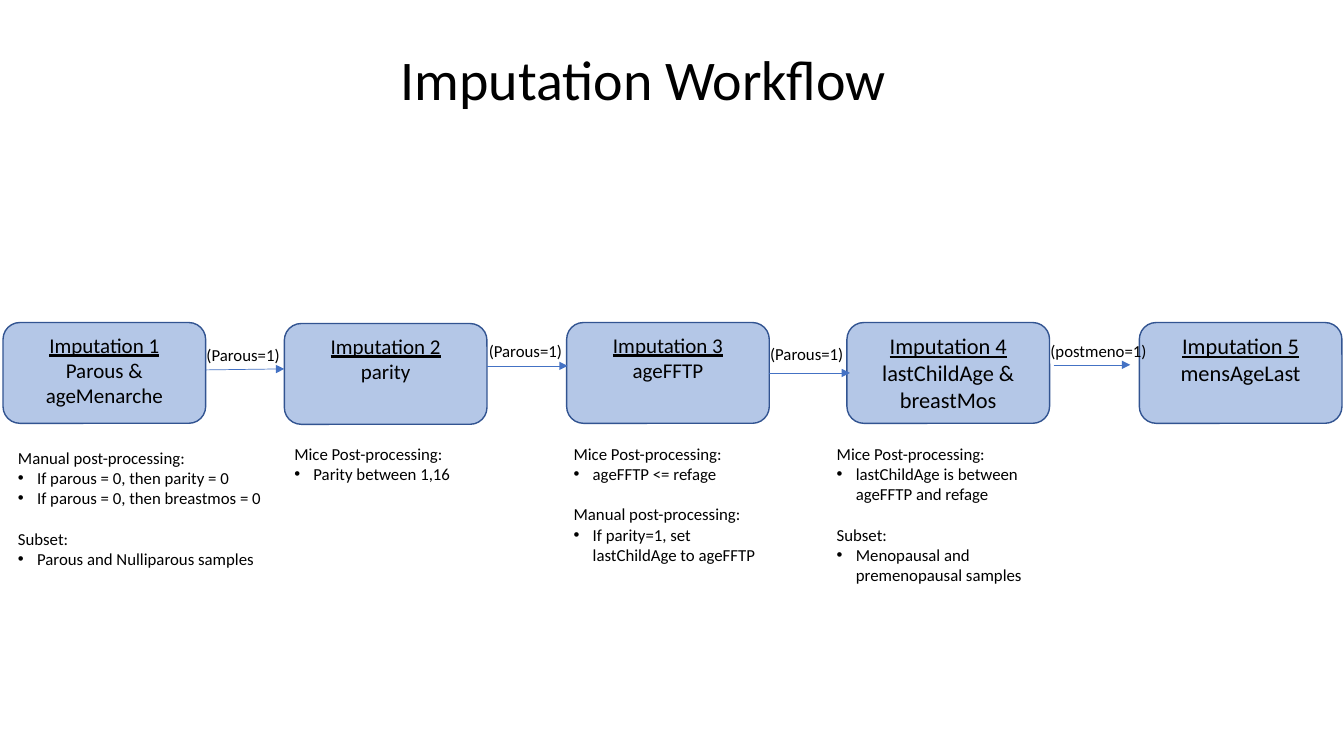
from dataclasses import dataclass

from lxml.etree import SubElement
from pptx import Presentation
from pptx.dml.color import RGBColor
from pptx.enum.shapes import MSO_CONNECTOR, MSO_SHAPE
from pptx.enum.text import MSO_ANCHOR, MSO_AUTO_SIZE, PP_ALIGN
from pptx.oxml.ns import qn
from pptx.util import Inches, Pt

FONT = "Calibri"
BLACK, FILL, EDGE, ARROW = "000000", "B4C7E7", "325491", "4472C4"
BOX_W, BOX_H = 2.01, 1


@dataclass
class Step:
    """One numbered imputation box and the variables it fills."""
    left: float
    top: float
    size: int
    text: str


@dataclass
class Link:
    """An arrow between two steps with its condition."""
    start: tuple[float, float]
    end: tuple[float, float]
    text: str
    left: float
    top: float
    width: float


@dataclass
class Note:
    """Text under a step: headings, each with its bullets."""
    left: float
    top: float
    width: float
    height: float
    groups: dict[str, list[str]]


STEPS = [
    Step(0.03, 3.2, 15, "Parous & ageMenarche"),
    Step(2.82, 3.21, 15, "parity"),
    Step(5.62, 3.2, 15, "ageFFTP"),
    Step(8.4, 3.2, 16, "lastChildAge & breastMos"),
    Step(11.3, 3.2, 16, "mensAgeLast"),
]
LINKS = [
    Link((2.04, 3.67), (2.82, 3.66), "(Parous=1)", 1.95, 3.37, 0.94),
    Link((4.83, 3.63), (5.63, 3.63), "(Parous=1)", 4.75, 3.33, 0.94),
    Link((7.63, 3.7), (8.43, 3.7), "(Parous=1)", 7.54, 3.36, 0.94),
    Link((10.45, 3.62), (11.21, 3.62), "(postmeno=1)", 10.32, 3.33, 1.17),
]
MICE, MANUAL, SUBSET = "Mice Post-processing:", "Manual post-processing:", "Subset:"
NOTES = [
    Note(0.08, 4.39, 2.77, 1.31, {
        MANUAL: ["If parous = 0, then parity = 0", "If parous = 0, then breastmos = 0"],
        SUBSET: ["Parous and Nulliparous samples"]}),
    Note(2.82, 4.35, 2.01, 0.5, {MICE: ["Parity between 1,16"]}),
    Note(5.59, 4.35, 2.01, 1.31, {
        MICE: ["ageFFTP <= refage"],
        MANUAL: ["If parity=1, set lastChildAge to ageFFTP"]}),
    Note(8.2, 4.35, 2.25, 1.51, {
        MICE: ["lastChildAge is between ageFFTP and refage"],
        SUBSET: ["Menopausal and premenopausal samples"]}),
]


def color(value: str) -> RGBColor:
    """Turn a hex string into a colour."""
    return RGBColor.from_string(value)


def write(frame, index: int, text: str, size: int, align=PP_ALIGN.LEFT):
    """Fill the first paragraph, or add a further one, and return it."""
    para = frame.add_paragraph() if index else frame.paragraphs[0]
    para.text = text
    para.alignment = align
    para.font.name, para.font.size = FONT, Pt(size)
    para.font.color.rgb = color(BLACK)
    return para


def add_bullet(para) -> None:
    """Give a paragraph a hanging bullet."""
    props = para._p.get_or_add_pPr()
    props.set("marL", str(Inches(0.19)))
    props.set("indent", str(-Inches(0.19)))
    SubElement(props, qn("a:buFont")).set("typeface", "Arial")
    SubElement(props, qn("a:buChar")).set("char", "•")
    # The schema wants default run properties after the bullet.
    props.append(props.find(qn("a:defRPr")))


def draw_title(slide) -> None:
    """Place the slide title and drop the unused subtitle."""
    title, sub = slide.shapes.title, slide.placeholders[1]
    sub.element.getparent().remove(sub.element)
    title.left, title.top = Inches(1.38), Inches(0.17)
    title.width, title.height = Inches(10), Inches(1)
    frame = title.text_frame
    frame.auto_size = MSO_AUTO_SIZE.NONE
    frame.vertical_anchor = MSO_ANCHOR.BOTTOM
    write(frame, 0, "Imputation Workflow", 40, PP_ALIGN.CENTER).line_spacing = 0.9


def draw_step(slide, number: int, step: Step) -> None:
    """Draw a rounded box with an underlined heading."""
    box = slide.shapes.add_shape(MSO_SHAPE.ROUNDED_RECTANGLE, Inches(step.left),
                                 Inches(step.top), Inches(BOX_W), Inches(BOX_H))
    box.shadow.inherit = False
    box.fill.solid()
    box.fill.fore_color.rgb = color(FILL)
    box.line.color.rgb = color(EDGE)
    box.line.width = Pt(1)
    frame = box.text_frame
    frame.word_wrap = True
    frame.vertical_anchor = MSO_ANCHOR.TOP
    head = write(frame, 0, f"Imputation {number}", step.size, PP_ALIGN.CENTER)
    head.font.underline = True
    write(frame, 1, step.text, step.size, PP_ALIGN.CENTER)


def draw_link(slide, link: Link) -> None:
    """Draw an arrow and the condition above it."""
    ends = [Inches(value) for value in link.start + link.end]
    arrow = slide.shapes.add_connector(MSO_CONNECTOR.STRAIGHT, *ends)
    arrow.line.color.rgb = color(ARROW)
    arrow.line.width = Pt(0.5)
    SubElement(arrow.line._get_or_add_ln(), qn("a:tailEnd")).set("type", "triangle")
    SubElement(arrow._element.spPr, qn("a:effectLst"))
    label = slide.shapes.add_textbox(Inches(link.left), Inches(link.top),
                                     Inches(link.width), Inches(0.3))
    label.text_frame.word_wrap = False
    write(label.text_frame, 0, link.text, 12)


def draw_note(slide, note: Note) -> None:
    """Write headings with bullets, one line apart."""
    frame = slide.shapes.add_textbox(Inches(note.left), Inches(note.top),
                                     Inches(note.width), Inches(note.height)).text_frame
    frame.word_wrap = True
    count = 0
    for title, items in note.groups.items():
        head = write(frame, count, title, 12)
        if count:
            head.space_before = Pt(14.6)
        for item in items:
            count += 1
            add_bullet(write(frame, count, item, 12))
        count += 1


def main() -> None:
    """Build and save the slide."""
    deck = Presentation()
    deck.slide_width, deck.slide_height = Inches(13.33), Inches(7.5)
    slide = deck.slides.add_slide(deck.slide_layouts[0])
    draw_title(slide)
    for number, step in enumerate(STEPS, 1):
        draw_step(slide, number, step)
    for link in LINKS:
        draw_link(slide, link)
    for note in NOTES:
        draw_note(slide, note)
    deck.save("out.pptx")


main()
